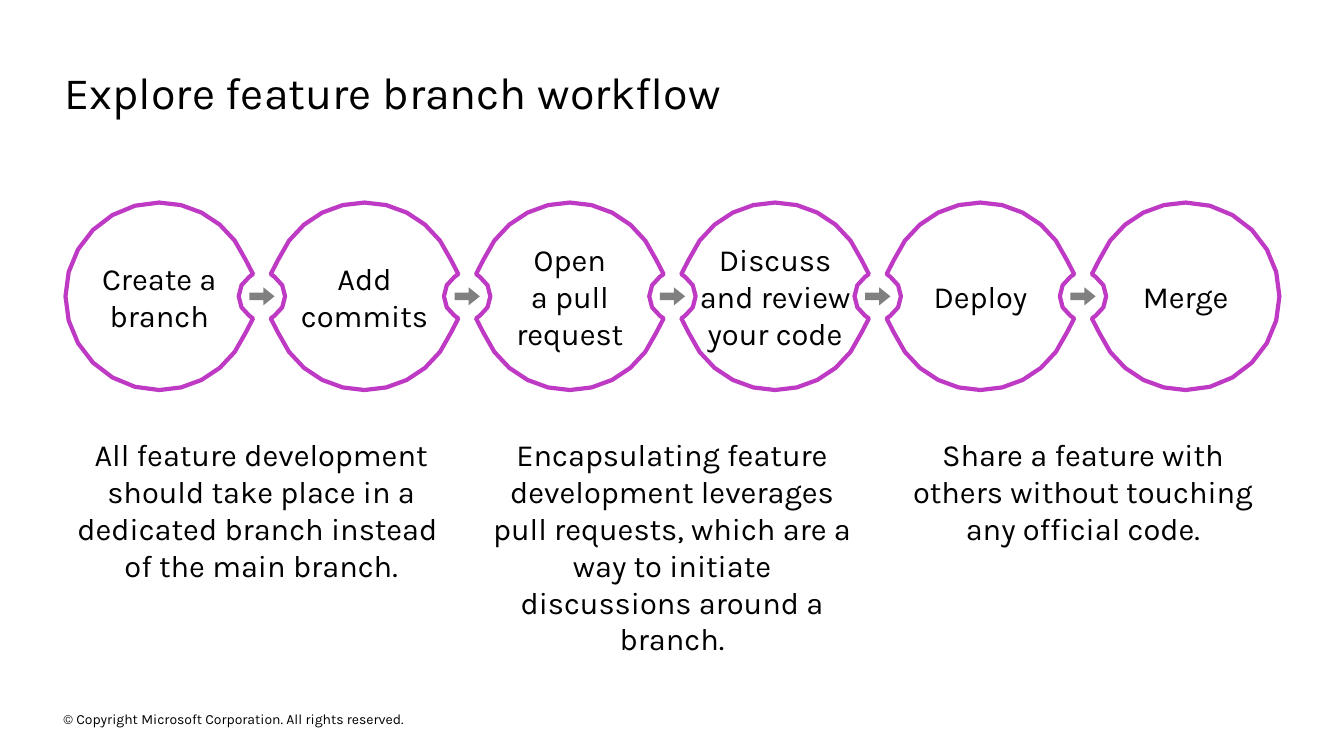
from math import cos, radians, sin

from pptx import Presentation
from pptx.dml.color import RGBColor as Rgb
from pptx.enum.shapes import MSO_SHAPE as Shape
from pptx.enum.text import MSO_ANCHOR as Anchor, PP_ALIGN as Align
from pptx.util import Inches, Pt

COLORS = {"text": "000000", "ring": "BF3AC4", "arrow": "808080"}
FONT = "Karla"
STEPS = [
    "Create a branch",
    "Add\ncommits",
    "Open\na pull\nrequest",
    "Discuss\nand review your code",
    "Deploy",
    "Merge",
]
NOTES = [
    "All feature development should take place in a dedicated branch instead \n"
    "of the main branch.",
    "Encapsulating feature development leverages pull requests, which are "
    "a way to initiate discussions around a branch.",
    "Share a feature with others without touching any official code.",
]
RING = 0.93  # radius of a step
BITE = 0.23  # radius of the notch around an arrow
LIP = 0.22  # half the height of the notch's mouth


def color(name):
    return Rgb.from_string(COLORS[name])


def write(shape, text, size=22, align=Align.CENTER, anchor=Anchor.TOP):
    frame = shape.text_frame
    frame.word_wrap = True
    frame.vertical_anchor = anchor
    frame.margin_left = frame.margin_right = 0
    frame.margin_top = frame.margin_bottom = 0
    para = frame.paragraphs[0]
    para.text = text
    para.alignment = align
    for run in para.runs:
        run.font.name = FONT
        run.font.size = Pt(size)
        run.font.color.rgb = color("text")


def add_text(slide, box, text, **style):
    write(slide.shapes.add_textbox(*map(Inches, box)), text, **style)


def arc(radius, start, end, count, mid=0):
    """Points of an arc, in degrees clockwise, about (mid, 0)."""
    turns = [radians(start + (end - start) * i / count) for i in range(count + 1)]
    return [(mid + radius * cos(t), radius * sin(t)) for t in turns]


def half(notched, reach):
    """Right half of a step, from top to bottom."""
    if not notched:
        return arc(RING, -90, 90, 12)
    return (arc(RING, -90, -23, 5) + [(RING, -LIP)]
            + arc(BITE, 237, 123, 4, mid=reach)
            + [(RING, LIP)] + arc(RING, 23, 90, 5))


def add_ring(slide, x, y, text, left, right, reach):
    back = [(-a, -b) for a, b in half(left, reach)]
    points = half(right, reach) + back[1:-1]
    spots = [(Inches(x + a), Inches(y + b)) for a, b in points]
    draft = slide.shapes.build_freeform(*spots[0])
    draft.add_line_segments(spots[1:], close=True)
    ring = draft.convert_to_shape()
    ring.shadow.inherit = False
    ring.fill.background()
    ring.line.color.rgb = color("ring")
    ring.line.width = Pt(3)
    write(ring, text, anchor=Anchor.MIDDLE)


def add_arrow(slide, x, y):
    wide, high = 0.25, 0.18
    box = (x - wide / 2, y - high / 2, wide, high)
    arrow = slide.shapes.add_shape(Shape.RIGHT_ARROW, *map(Inches, box))
    arrow.adjustments[0] = 0.42
    arrow.adjustments[1] = 0.62
    arrow.shadow.inherit = False
    arrow.fill.solid()
    arrow.fill.fore_color.rgb = color("arrow")
    arrow.line.fill.background()


def add_flow(slide, box):
    left, top, width, height = box
    last = len(STEPS) - 1
    pitch = (width - 2 * RING) / last
    y = top + height / 2
    for i, step in enumerate(STEPS):
        x = left + RING + i * pitch
        add_ring(slide, x, y, step, i > 0, i < last, pitch / 2)
        if i < last:
            add_arrow(slide, x + pitch / 2, y)


def add_notes(slide, box):
    left, top, width, height = box
    wide = 3.72
    pitch = (width - wide) / (len(NOTES) - 1)
    for i, note in enumerate(NOTES):
        add_text(slide, (left + i * pitch, top, wide, height), note)


def main():
    deck = Presentation()
    deck.slide_width, deck.slide_height = Inches(13.33), Inches(7.5)
    slide = deck.slides.add_slide(deck.slide_layouts[6])
    add_text(slide, (0.63, 7.02, 4.54, 0.22),
             "© Copyright Microsoft Corporation. All rights reserved.",
             size=10, align=Align.LEFT, anchor=Anchor.MIDDLE)
    add_text(slide, (0.64, 0.64, 12.04, 0.54), "Explore feature branch workflow",
             size=32, align=Align.LEFT)
    add_flow(slide, (0.65, 2.01, 12.04, 1.86))
    add_notes(slide, (0.73, 4.32, 11.87, 1))
    deck.save("out.pptx")


if __name__ == "__main__":
    main()
